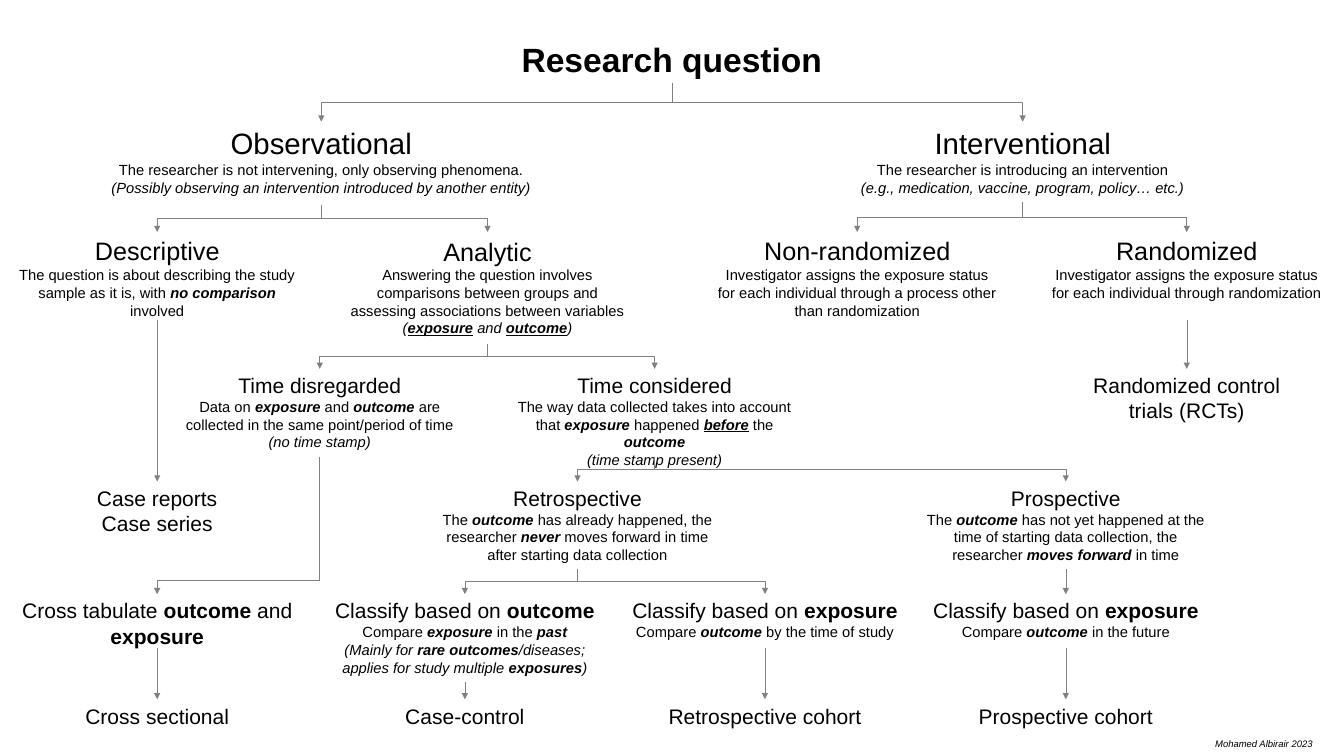
from dataclasses import dataclass
from typing import NamedTuple

from lxml.etree import SubElement
from pptx import Presentation
from pptx.dml.color import RGBColor
from pptx.enum.shapes import MSO_CONNECTOR
from pptx.enum.text import MSO_ANCHOR, MSO_AUTO_SIZE, PP_ALIGN
from pptx.oxml.ns import qn
from pptx.util import Emu, Pt

PX = 9144  # EMU per px: 100 px to the inch


@dataclass(frozen=True)
class Theme:
    font: str = "Arial"
    ink: RGBColor = RGBColor(0, 0, 0)
    line: RGBColor = RGBColor(0x80, 0x80, 0x80)
    line_width: float = 0.5
    root: int = 32
    branch: int = 28
    group: int = 24
    leaf: int = 20
    body: int = 14
    credit: int = 9


class Run(NamedTuple):
    text: str
    style: str = ""  # any of b, i, u


class Para(NamedTuple):
    size: int
    runs: tuple


@dataclass(frozen=True)
class Node:
    """A text box placed by its centre line and top edge, in px."""
    cx: int
    top: int
    width: int
    height: int
    paras: tuple


class Link(NamedTuple):
    src: str
    dst: str
    bend: int = 50  # percent of the drop where the elbow turns


T = Theme()
STYLES = {"b": "bold", "i": "italic", "u": "underline"}


def para(size: int, *runs) -> Para:
    return Para(size, tuple(Run(r) if isinstance(r, str) else r for r in runs))


def body(*runs) -> Para:
    return para(T.body, *runs)


def bi(text: str) -> Run:
    return Run(text, "bi")


def it(text: str) -> Run:
    return Run(text, "i")


def bold(text: str) -> Run:
    return Run(text, "b")


# Row tops and column centres
ROW = dict(branch=161, group=307, time=488, direction=637, classify=786, design=925)
LEFT, CONTROL, RETRO, PRO, RANDOM = 208, 615, 1012, 1410, 1570

NODES = {
    "observational": Node(425, ROW["branch"], 606, 110, (
        para(T.branch, "Observational"),
        body("The researcher is not intervening, only observing phenomena."),
        body(it("(Possibly observing an intervention introduced by another entity)")))),
    "interventional": Node(1353, ROW["branch"], 606, 106, (
        para(T.branch, "Interventional"),
        body("The researcher is introducing an intervention"),
        body(it("(e.g., medication, vaccine, program, policy… etc.)")))),
    "descriptive": Node(LEFT, ROW["group"], 394, 116, (
        para(T.group, "Descriptive"),
        body("The question is about describing the study sample as it is, with ",
             bi("no comparison "), "involved"))),
    "analytic": Node(645, ROW["group"], 394, 148, (
        para(T.group, "Analytic"),
        body("Answering the question involves comparisons between groups and "
             "assessing associations between variables"),
        body(it("("), Run("exposure", "biu"), it(" and "), Run("outcome", "biu"), it(")")))),
    "non_randomized": Node(1134, ROW["group"], 394, 116, (
        para(T.group, "Non-randomized"),
        body("Investigator assigns the exposure status for each individual "
             "through a process other than randomization"))),
    "randomized": Node(RANDOM, ROW["group"], 394, 116, (
        para(T.group, "Randomized"),
        body("Investigator assigns the exposure status for each individual "
             "through randomization"))),
    "disregarded": Node(423, ROW["time"], 418, 116, (
        para(T.leaf, "Time disregarded"),
        body("Data on ", bi("exposure "), "and ", bi("outcome "),
             "are collected in the same point/period of time"),
        body(it("(no time stamp)")))),
    "considered": Node(866, ROW["time"], 418, 116, (
        para(T.leaf, "Time considered"),
        body("The way data collected takes into account that ", bi("exposure "),
             "happened ", Run("before", "biu"), " the ", bi("outcome")),
        body(it("(time stamp present)")))),
    "rct": Node(RANDOM, ROW["time"], 294, 73, (
        para(T.leaf, "Randomized control trials (RCTs)"),)),
    "cases": Node(LEFT, ROW["direction"], 266, 80, (
        para(T.leaf, "Case reports"), para(T.leaf, "Case series"))),
    "retrospective": Node(764, ROW["direction"], 388, 116, (
        para(T.leaf, "Retrospective"),
        body("The ", bi("outcome "), "has already happened, the researcher ",
             bi("never"), " moves forward in time after starting data collection"))),
    "prospective": Node(PRO, ROW["direction"], 388, 116, (
        para(T.leaf, "Prospective"),
        body("The ", bi("outcome "), "has not yet happened at the time of starting "
             "data collection, the researcher ", bi("moves forward "), "in time"))),
    "cross_tabulate": Node(LEFT, ROW["classify"], 388, 71, (
        para(T.leaf, "Cross tabulate ", bold("outcome "), "and ", bold("exposure")),)),
    "by_outcome": Node(CONTROL, ROW["classify"], 388, 116, (
        para(T.leaf, "Classify based on ", bold("outcome")),
        body("Compare ", bi("exposure "), "in the ", bi("past")),
        body(it("(Mainly for "), bi("rare outcomes"),
             it("/diseases; applies for study multiple "), bi("exposures"), it(")")))),
    "by_exposure_retro": Node(RETRO, ROW["classify"], 388, 71, (
        para(T.leaf, "Classify based on ", bold("exposure")),
        body("Compare ", bi("outcome "), "by the time of study"))),
    "by_exposure_pro": Node(PRO, ROW["classify"], 388, 71, (
        para(T.leaf, "Classify based on ", bold("exposure")),
        body("Compare ", bi("outcome "), "in the future"))),
    "credit": Node(1672, 972, 168, 24, (para(T.credit, it("Mohamed Albirair 2023")),)),
}
DESIGNS = {"cross_sectional": (LEFT, "Cross sectional"), "case_control": (CONTROL, "Case-control"),
           "retro_cohort": (RETRO, "Retrospective cohort"), "pro_cohort": (PRO, "Prospective cohort")}
NODES |= {key: Node(cx, ROW["design"], 388, 47, (para(T.leaf, name),))
          for key, (cx, name) in DESIGNS.items()}
ROOT = Node(889, 47, 462, 63, (para(T.root, bold("Research question")),))

LINKS = [Link(*link) for link in (
    ("root", "interventional"), ("root", "observational"),
    ("observational", "descriptive"), ("observational", "analytic"),
    ("interventional", "non_randomized"), ("interventional", "randomized"),
    ("analytic", "disregarded"), ("analytic", "considered"),
    ("considered", "retrospective"), ("considered", "prospective"),
    ("retrospective", "by_outcome"), ("retrospective", "by_exposure_retro"),
    ("prospective", "by_exposure_pro"), ("disregarded", "cross_tabulate", 90),
    ("descriptive", "cases"), ("randomized", "rct"),
    ("cross_tabulate", "cross_sectional"), ("by_outcome", "case_control"),
    ("by_exposure_retro", "retro_cohort"), ("by_exposure_pro", "pro_cohort"))]


def set_all(obj, values: dict) -> None:
    for name, value in values.items():
        setattr(obj, name, value)


def fill_node(sp, node: Node, anchor) -> None:
    """Place a shape and write the node's paragraphs in it."""
    set_all(sp, dict(left=Emu((node.cx - node.width // 2) * PX), top=Emu(node.top * PX),
                     width=Emu(node.width * PX), height=Emu(node.height * PX)))
    tf = sp.text_frame
    set_all(tf, dict(word_wrap=True, auto_size=MSO_AUTO_SIZE.NONE, vertical_anchor=anchor))
    for i, item in enumerate(node.paras):
        p = tf.add_paragraph() if i else tf.paragraphs[0]
        set_all(p, dict(alignment=PP_ALIGN.CENTER, line_spacing=1.0, space_before=Pt(0)))
        for run in item.runs:
            r = p.add_run()
            r.text = run.text
            set_all(r.font, dict(name=T.font, size=Pt(item.size)))
            set_all(r.font, {STYLES[c]: True for c in run.style})
            r.font.color.rgb = T.ink


def add_link(s, src, dst, bend: int) -> None:
    """Arrow from the bottom of src to the top of dst, with an elbow if they are offset."""
    x1, y1 = src.left + src.width // 2, src.top + src.height
    x2, y2 = dst.left + dst.width // 2, dst.top
    kind = MSO_CONNECTOR.STRAIGHT if x1 == x2 else MSO_CONNECTOR.ELBOW
    cxn = s.shapes.add_connector(kind, x1, y1, x2, y2)
    cxn.begin_connect(src, 2)
    cxn.end_connect(dst, 0)
    cxn.line.color.rgb = T.line
    cxn.line.width = Pt(T.line_width)
    sppr = cxn._element.spPr
    SubElement(cxn.line._get_or_add_ln(), qn("a:tailEnd"), type="triangle")
    SubElement(sppr, qn("a:effectLst"))
    if x1 == x2:
        return
    # Turn the elbow so that it leaves and arrives vertically
    drop, span = y2 - y1, abs(x2 - x1)
    set_all(cxn, dict(left=Emu((x1 + x2 - drop) // 2), top=Emu((y1 + y2 - span) // 2),
                      width=Emu(drop), height=Emu(span)))
    xfrm = sppr.find(qn("a:xfrm"))
    xfrm.set("rot", "16200000" if x2 > x1 else "5400000")
    xfrm.set("flipH", "1" if x2 > x1 else "0")
    guides = sppr.find(qn("a:prstGeom")).find(qn("a:avLst"))
    SubElement(guides, qn("a:gd"), name="adj1", fmla=f"val {bend * 1000}")


def main() -> None:
    prs = Presentation()
    set_all(prs, dict(slide_width=Emu(1778 * PX), slide_height=Emu(1000 * PX)))
    s = prs.slides.add_slide(prs.slide_layouts[5])

    # Title and text boxes
    shapes = {"root": s.shapes.title}
    fill_node(shapes["root"], ROOT, MSO_ANCHOR.MIDDLE)
    for key, node in NODES.items():
        shapes[key] = s.shapes.add_textbox(0, 0, PX, PX)
        fill_node(shapes[key], node, MSO_ANCHOR.TOP)

    # Arrows of the tree
    for link in LINKS:
        add_link(s, shapes[link.src], shapes[link.dst], link.bend)
    prs.save("out.pptx")


if __name__ == "__main__":
    main()
